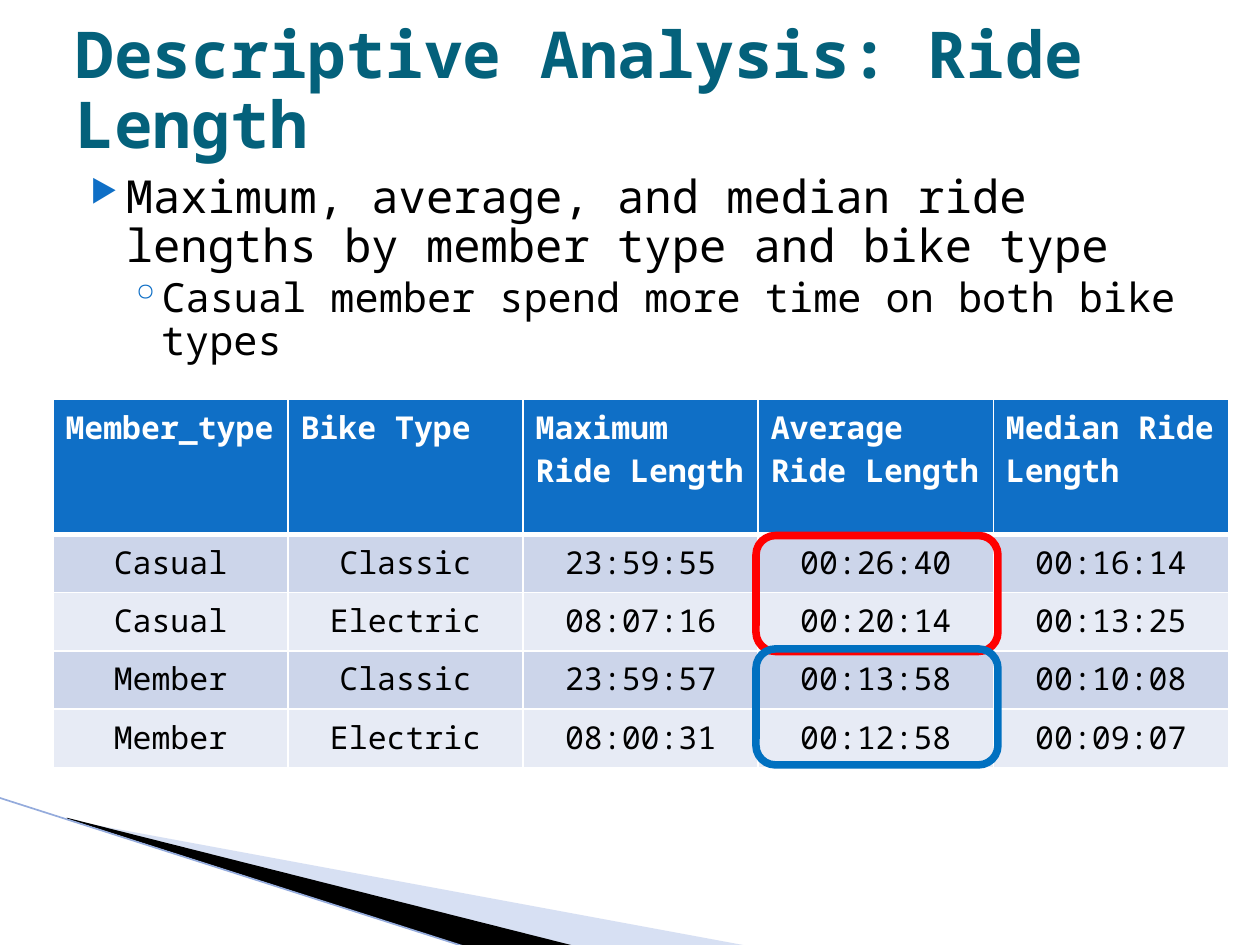
from lxml.etree import SubElement
from pptx import Presentation
from pptx.dml.color import RGBColor
from pptx.enum.shapes import MSO_CONNECTOR, MSO_SHAPE
from pptx.enum.text import MSO_ANCHOR, PP_ALIGN
from pptx.oxml import parse_xml
from pptx.oxml.ns import nsdecls, qn
from pptx.util import Inches, Pt

BLACK = RGBColor(0x00, 0x00, 0x00)
WHITE = RGBColor(0xFF, 0xFF, 0xFF)
BLUE = RGBColor(0x0F, 0x6F, 0xC6)
TEAL = RGBColor(0x04, 0x61, 0x7B)
PALE = RGBColor(0x9D, 0xB2, 0xE1)
EDGE = RGBColor(0x94, 0xAB, 0xDC)
DARK = RGBColor(0xCC, 0xD5, 0xEA)
LIGHT = RGBColor(0xE7, 0xEB, 0xF5)
RED = RGBColor(0xFF, 0x00, 0x00)
NAVY = RGBColor(0x00, 0x70, 0xC0)
FONT = "Noto Sans Mono"

deck = Presentation()
deck.slide_width, deck.slide_height = Inches(10), Inches(7.5)
slide = deck.slides.add_slide(deck.slide_layouts[6])
shapes = slide.shapes


def share(*parts):
    sides = (deck.slide_width, deck.slide_height)
    return [round(sides[i % 2] * part / 100) for i, part in enumerate(parts)]


def style(para, size, color, bold=False):
    para.font.name = FONT
    para.font.size = Pt(size)
    para.font.bold = bold
    para.font.color.rgb = color


wedges = [
    (PALE, 40, [(5.5, 86.8), (59.5, 100.13), (45.6, 100.13), (5.5, 86.67)]),
    (BLACK, 100, [(5.3, 86.53), (45.7, 100.13), (37.2, 100.27), (5.4, 86.67)]),
]
for color, alpha, points in wedges:
    start, *rest = [share(*point) for point in points]
    pen = shapes.build_freeform(*start)
    pen.add_line_segments(rest)
    wedge = pen.convert_to_shape()
    wedge.shadow.inherit = False
    wedge.fill.solid()
    wedge.fill.fore_color.rgb = color
    wedge.line.fill.background()
    if alpha < 100:
        tint = wedge.fill._xPr.find(qn("a:solidFill"))[0]
        SubElement(tint, qn("a:alpha"), val=str(alpha * 1000))

edge = shapes.add_connector(MSO_CONNECTOR.STRAIGHT, *share(-0.1, 84.4, 37.1, 100.27))
edge.line.color.rgb = EDGE
edge.line.width = Pt(0.95)
SubElement(edge._element.spPr, qn("a:effectLst"))

body = shapes.add_textbox(*share(5, 17.73, 90, 69.87)).text_frame
body.word_wrap = True
points = [
    ("Maximum, average, and median ride lengths by member type and bike type",
     26, 4, 0.4, -0.28, "▶", 68),
    ("Casual member spend more time on both bike types",
     23, 3.2, 0.68, -0.25, "◦", 100),
]
for i, (text, size, gap, left, hang, mark, scale) in enumerate(points):
    para = body.add_paragraph() if i else body.paragraphs[0]
    para.text = text
    para.level = i
    para.line_spacing = 0.9
    para.space_before = Pt(gap)
    style(para, size, BLACK)
    props = para._p.get_or_add_pPr()
    props.set("marL", str(Inches(left)))
    props.set("indent", str(Inches(hang)))
    tail = props.find(qn("a:defRPr"))
    for xml in (f'<a:buClr {nsdecls("a")}><a:srgbClr val="{BLUE}"/></a:buClr>',
                f'<a:buSzPct {nsdecls("a")} val="{scale * 1000}"/>',
                f'<a:buChar {nsdecls("a")} char="{mark}"/>'):
        tail.addprevious(parse_xml(xml))

title = shapes.add_textbox(*share(5, 4, 90, 11.6)).text_frame
title.word_wrap = True
title.vertical_anchor = MSO_ANCHOR.MIDDLE
head = title.paragraphs[0]
head.text = "Descriptive Analysis: Ride Length"
head.line_spacing = 0.9
style(head, 36.9, TEAL, True)

rows = [
    ("Member_type", "Bike Type", "Maximum Ride Length",
     "Average Ride Length", "Median Ride Length"),
    ("Casual", "Classic", "23:59:55", "00:26:40", "00:16:14"),
    ("Casual", "Electric", "08:07:16", "00:20:14", "00:13:25"),
    ("Member", "Classic", "23:59:57", "00:13:58", "00:10:08"),
    ("Member", "Electric", "08:00:31", "00:12:58", "00:09:07"),
]
grid = shapes.add_table(len(rows), len(rows[0]), *share(4.2, 42.27, 93.3, 38.93)).table
for r, row in enumerate(rows):
    grid.rows[r].height = share(0, 6.17 if r else 14.27)[1]
    for c, text in enumerate(row):
        cell = grid.cell(r, c)
        para = cell.text_frame.paragraphs[0]
        para.text = text
        para.alignment = PP_ALIGN.CENTER if r else PP_ALIGN.LEFT
        style(para, 18, BLACK if r else WHITE, r == 0)
        props = cell._tc.get_or_add_tcPr()
        for side in "LRTB":
            thick = (side, r) in (("B", 0), ("T", 1))
            line = SubElement(props, qn(f"a:ln{side}"), w=str(Pt(3 if thick else 1)))
            paint = SubElement(line, qn("a:solidFill"))
            SubElement(paint, qn("a:srgbClr"), val=str(WHITE))
        cell.fill.solid()
        cell.fill.fore_color.rgb = BLUE if r == 0 else DARK if r % 2 else LIGHT

for i, color in enumerate((RED, NAVY)):
    ring = shapes.add_shape(MSO_SHAPE.ROUNDED_RECTANGLE,
                            *share(60, 56.67 + 12 * i, 19.2, 12.27))
    ring.shadow.inherit = False
    ring.fill.background()
    ring.line.color.rgb = color
    ring.line.width = Pt(4.33)

deck.save("out.pptx")
